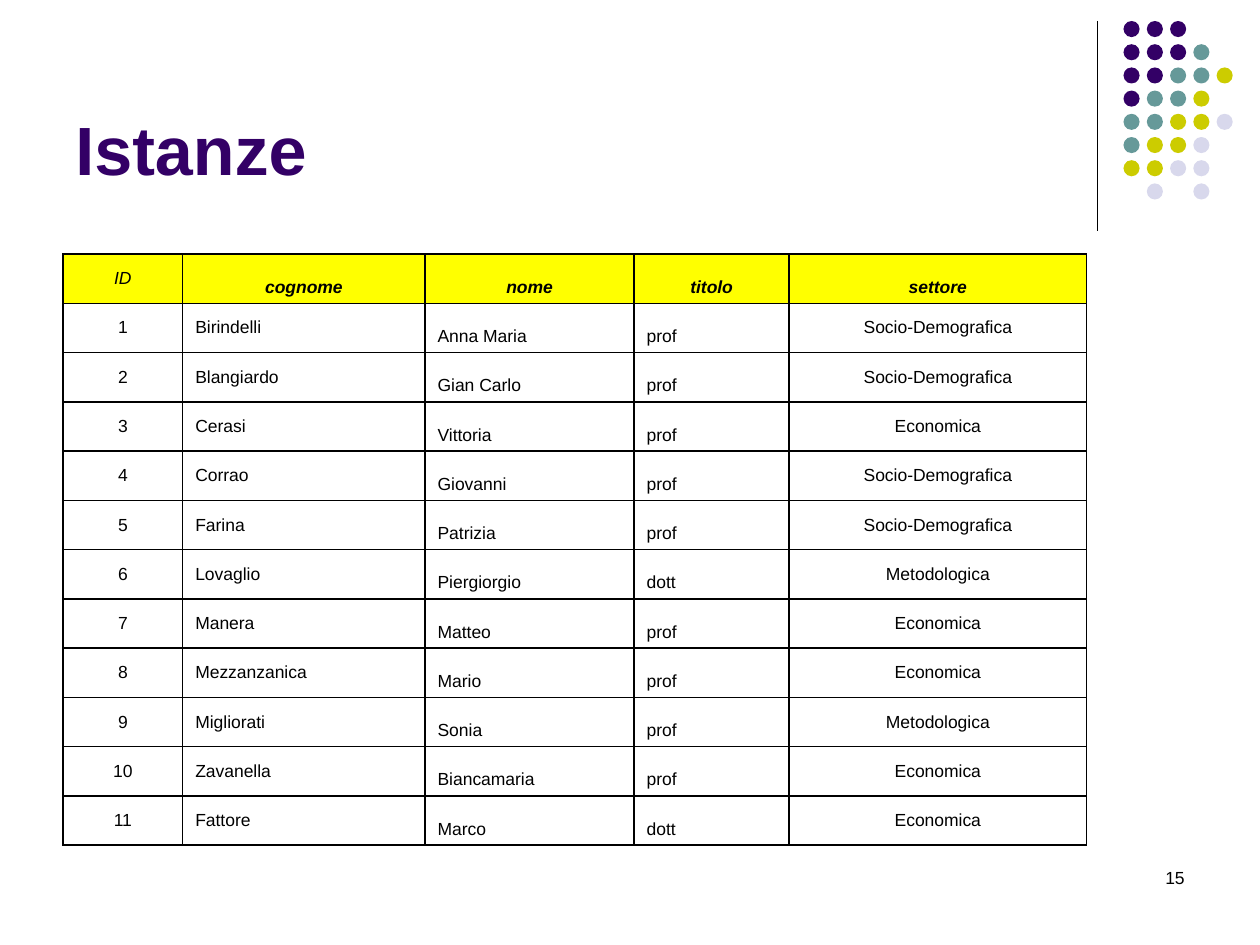
from lxml.etree import SubElement
from pptx import Presentation
from pptx.dml.color import RGBColor
from pptx.enum.shapes import MSO_CONNECTOR, MSO_SHAPE
from pptx.enum.text import MSO_ANCHOR, PP_ALIGN
from pptx.oxml.ns import qn
from pptx.util import Pt

BLACK = RGBColor(0x00, 0x00, 0x00)
PURPLE = RGBColor(0x33, 0x00, 0x66)
TEAL = RGBColor(0x66, 0x99, 0x99)
OLIVE = RGBColor(0xCC, 0xCC, 0x00)
LAVENDER = RGBColor(0xD8, 0xD8, 0xEC)
YELLOW = RGBColor(0xFF, 0xFF, 0x00)

DOT_COLORS = {"P": PURPLE, "T": TEAL, "O": OLIVE, "L": LAVENDER}
DOT_ROWS = ["PPP..", "PPPT.", "PPTTO", "PTTO.", "TTOOL", "TOOL.", "OOLL.", ".L.L."]

HEADINGS = ("ID", "cognome", "nome", "titolo", "settore")
COLUMN_WIDTHS = (68.4, 138.5, 119.5, 88.6, 169.9)
COLUMN_ALIGNS = (PP_ALIGN.CENTER, PP_ALIGN.JUSTIFY, PP_ALIGN.LEFT, PP_ALIGN.LEFT, PP_ALIGN.CENTER)
COLUMN_ANCHORS = (MSO_ANCHOR.MIDDLE, MSO_ANCHOR.MIDDLE, MSO_ANCHOR.BOTTOM, MSO_ANCHOR.BOTTOM,
                  MSO_ANCHOR.MIDDLE)
PEOPLE = [
    ("Birindelli", "Anna Maria", "prof", "Socio-Demografica"),
    ("Blangiardo", "Gian Carlo", "prof", "Socio-Demografica"),
    ("Cerasi", "Vittoria", "prof", "Economica"),
    ("Corrao", "Giovanni", "prof", "Socio-Demografica"),
    ("Farina", "Patrizia", "prof", "Socio-Demografica"),
    ("Lovaglio", "Piergiorgio", "dott", "Metodologica"),
    ("Manera", "Matteo", "prof", "Economica"),
    ("Mezzanzanica", "Mario", "prof", "Economica"),
    ("Migliorati", "Sonia", "prof", "Metodologica"),
    ("Zavanella", "Biancamaria", "prof", "Economica"),
    ("Fattore", "Marco", "dott", "Economica"),
]


def style_paragraph(paragraph, size, color=BLACK, align=PP_ALIGN.LEFT, bold=False, italic=False):
    """Set the alignment and font of one paragraph."""
    paragraph.alignment = align
    font = paragraph.font
    font.name, font.size, font.bold, font.italic = "Arial", Pt(size), bold, italic
    font.color.rgb = color


def add_label(slide, box, text, size, anchor, **style):
    """Place a one-line text in the box."""
    frame = slide.shapes.add_textbox(*map(Pt, box)).text_frame
    frame.word_wrap = True
    frame.vertical_anchor = anchor
    frame.text = text
    style_paragraph(frame.paragraphs[0], size, **style)


def add_divider(slide, left, top, height):
    """Draw the vertical rule beside the dots."""
    divider = slide.shapes.add_connector(
        MSO_CONNECTOR.STRAIGHT, Pt(left), Pt(top), Pt(left), Pt(top + height))
    divider.line.color.rgb = BLACK
    divider.line.width = Pt(0.75)
    SubElement(divider.element.spPr, qn("a:effectLst"))


def add_dots(slide, box, diameter=9.2):
    """Spread the coloured dots evenly over the box."""
    left, top, width, height = box
    step_x = (width - diameter) / (len(DOT_ROWS[0]) - 1)
    step_y = (height - diameter) / (len(DOT_ROWS) - 1)
    for row, codes in enumerate(DOT_ROWS):
        for column, code in enumerate(codes):
            if code not in DOT_COLORS:
                continue
            dot = slide.shapes.add_shape(
                MSO_SHAPE.OVAL, Pt(left + column * step_x), Pt(top + row * step_y),
                Pt(diameter), Pt(diameter))
            dot.shadow.inherit = False
            dot.fill.solid()
            dot.fill.fore_color.rgb = DOT_COLORS[code]
            dot.line.fill.background()


def add_borders(cell):
    """Give a cell thin black borders on all four sides."""
    properties = cell._tc.get_or_add_tcPr()
    for position, side in enumerate(("lnL", "lnR", "lnT", "lnB")):
        border = properties.makeelement(qn(f"a:{side}"), {"w": str(Pt(1))})
        fill = SubElement(border, qn("a:solidFill"))
        SubElement(fill, qn("a:srgbClr"), val=str(BLACK))
        properties.insert(position, border)


def add_people_table(slide, box):
    """Build the table of people in the box."""
    rows = [HEADINGS] + [(str(number), *person) for number, person in enumerate(PEOPLE, 1)]
    table = slide.shapes.add_table(len(rows), len(HEADINGS), *map(Pt, box)).table
    for column, width in zip(table.columns, COLUMN_WIDTHS):
        column.width = Pt(width)
    for r, texts in enumerate(rows):
        table.rows[r].height = Pt(box[3] / len(rows))
        heading = r == 0
        for c, text in enumerate(texts):
            cell = table.cell(r, c)
            cell.text = text
            cell.vertical_anchor = MSO_ANCHOR.BOTTOM if heading and c else COLUMN_ANCHORS[c]
            style_paragraph(cell.text_frame.paragraphs[0], 10,
                            align=PP_ALIGN.CENTER if heading else COLUMN_ALIGNS[c],
                            bold=heading and c > 0, italic=heading)
            if heading:
                cell.fill.solid()
                cell.fill.fore_color.rgb = YELLOW
            else:
                cell.fill.background()
            add_borders(cell)


def main():
    """Build the slide and save it."""
    presentation = Presentation()
    presentation.slide_width, presentation.slide_height = Pt(720), Pt(540)
    slide = presentation.slides.add_slide(presentation.slide_layouts[6])
    add_divider(slide, 627, 12, 120)
    add_dots(slide, (642, 12, 62.4, 102))
    add_label(slide, (516, 492, 168, 36), "15", 10, MSO_ANCHOR.TOP, align=PP_ALIGN.RIGHT)
    add_label(slide, (36, 9.4, 594, 102), "Istanze", 39, MSO_ANCHOR.BOTTOM,
              color=PURPLE, bold=True)
    add_people_table(slide, (36, 145.2, 584.9, 337.8))
    presentation.save("out.pptx")


if __name__ == "__main__":
    main()
